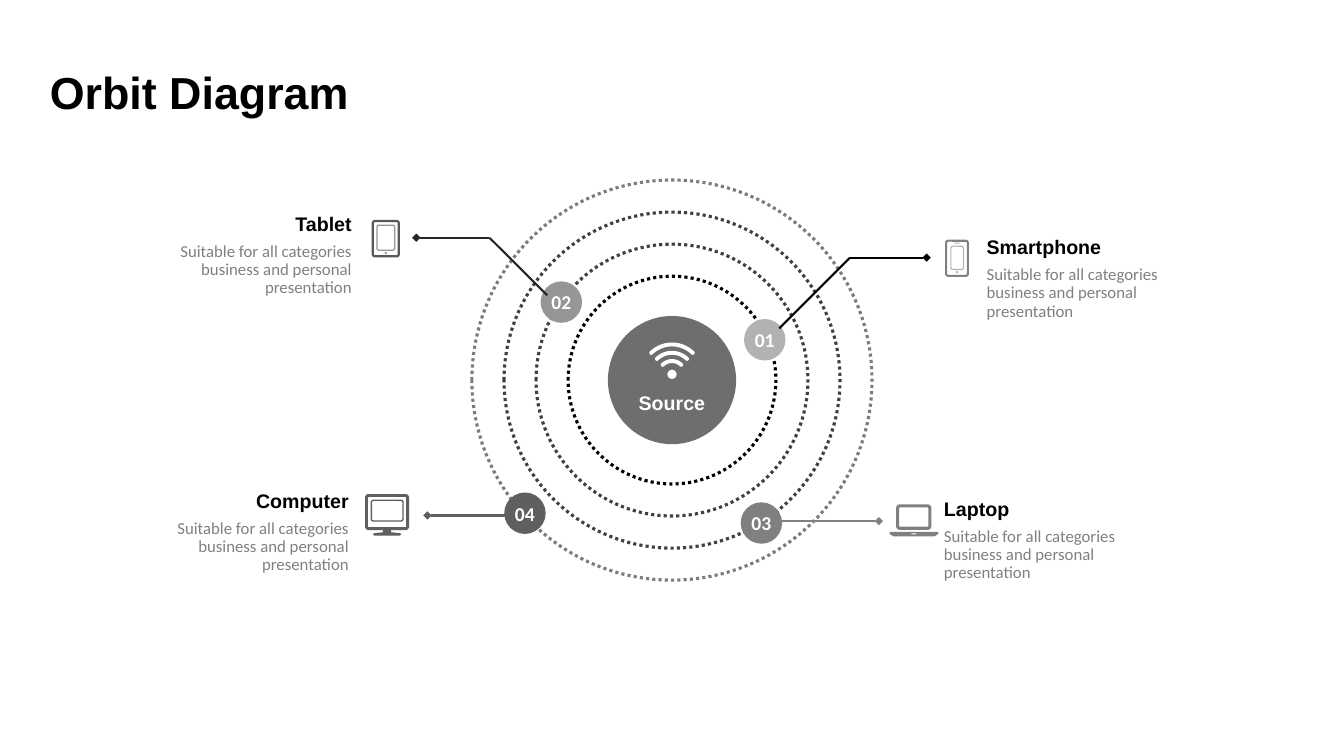
import math
import pptx
import pptx.dml.color
import pptx.enum.dml
import pptx.enum.shapes
import pptx.enum.text
import pptx.oxml
import pptx.oxml.ns
import pptx.util

Pt = pptx.util.Pt
RGBColor = pptx.dml.color.RGBColor
Kind = pptx.enum.shapes.MSO_SHAPE
Align = pptx.enum.text.PP_ALIGN
Anchor = pptx.enum.text.MSO_ANCHOR

BLACK = RGBColor(0x00, 0x00, 0x00)
WHITE = RGBColor(0xFF, 0xFF, 0xFF)
INK = RGBColor(0x26, 0x26, 0x26)
COAL = RGBColor(0x40, 0x40, 0x40)
SLATE = RGBColor(0x59, 0x59, 0x59)
IRON = RGBColor(0x5F, 0x5F, 0x5F)
LEAD = RGBColor(0x6E, 0x6E, 0x6E)
STONE = RGBColor(0x7C, 0x7C, 0x7C)
GRAY = RGBColor(0x80, 0x80, 0x80)
ASH = RGBColor(0x96, 0x96, 0x96)
SILVER = RGBColor(0xB2, 0xB2, 0xB2)

MID_X, MID_Y = 480, 271.5
DETAIL = "Suitable for all categories business and personal presentation"


def write(shape, text, size=14, color=BLACK, font="Arial", bold=True,
          align=Align.LEFT, anchor=Anchor.TOP, wrap=True, pitch=None):
    frame = shape.text_frame
    frame.word_wrap = wrap
    frame.vertical_anchor = anchor
    if not wrap:
        frame.auto_size = pptx.enum.text.MSO_AUTO_SIZE.SHAPE_TO_FIT_TEXT
    line = frame.paragraphs[0]
    line.alignment = align
    line.line_spacing = pitch
    run = line.add_run()
    run.text = text
    run.font.size = Pt(size)
    run.font.name = font
    run.font.bold = bold
    run.font.color.rgb = color


def label(shapes, text, left, top, width, height, **style):
    box = shapes.add_textbox(Pt(left), Pt(top), Pt(width), Pt(height))
    write(box, text, **style)


def paint(shape, fill=None, line=None, weight=1):
    shape.shadow.inherit = False
    if fill is None:
        shape.fill.background()
    else:
        shape.fill.solid()
        shape.fill.fore_color.rgb = fill
    if line is None:
        shape.line.fill.background()
    else:
        shape.line.color.rgb = line
        shape.line.width = Pt(weight)
    return shape


def disc(shapes, x, y, radius, **style):
    shape = shapes.add_shape(Kind.OVAL, Pt(x - radius), Pt(y - radius),
                             Pt(2 * radius), Pt(2 * radius))
    return paint(shape, **style)


def panel(shapes, left, top, width, height, curve, **style):
    shape = shapes.add_shape(Kind.ROUNDED_RECTANGLE, Pt(left), Pt(top),
                             Pt(width), Pt(height))
    shape.adjustments[0] = curve / min(width, height)
    return paint(shape, **style)


def bezel(shapes, left, top, width, height, weight, color):
    half = weight / 2
    panel(shapes, left + half, top + half, width - weight, height - weight,
          1.5, line=color, weight=weight)


def outline(shapes, points, color):
    spots = [(Pt(x), Pt(y)) for x, y in points]
    maker = shapes.build_freeform(*spots[0])
    maker.add_line_segments(spots[1:])
    paint(maker.convert_to_shape(), fill=color)


def lead(shapes, points, color):
    for start, end in zip(points, points[1:]):
        line = shapes.add_connector(pptx.enum.shapes.MSO_CONNECTOR.STRAIGHT,
                                    *[Pt(n) for n in start + end])
        line.line.color.rgb = color
        line.line.width = Pt(1.5)
        props = line._element.spPr
        props.append(pptx.oxml.parse_xml(
            "<a:effectLst %s/>" % pptx.oxml.ns.nsdecls("a")))
    line.line._get_or_add_ln().append(pptx.oxml.parse_xml(
        '<a:tailEnd type="diamond" %s/>' % pptx.oxml.ns.nsdecls("a")))


def turn(x, y, radius, first, last):
    steps = 24
    for step in range(steps + 1):
        angle = math.radians(first + (last - first) * step / steps)
        yield x + radius * math.sin(angle), y - radius * math.cos(angle)


def signal(shapes):
    x, y, half, sweep = MID_X, 267.4, 1.4, 44
    disc(shapes, x, y, 3.3, fill=WHITE)
    for radius in (9.5, 15.4, 21.3):
        left, right = [next(turn(x, y, radius, a, a)) for a in (-sweep, sweep)]
        points = [*turn(x, y, radius + half, -sweep, sweep),
                  *turn(*right, half, sweep, sweep + 180),
                  *turn(x, y, radius - half, sweep, -sweep),
                  *turn(*left, half, 180 - sweep, 360 - sweep)]
        outline(shapes, points, WHITE)


def phone(shapes):
    bezel(shapes, 675.1, 171.2, 17, 26.6, 1.5, GRAY)
    bezel(shapes, 678.8, 175.5, 9.8, 17.4, 0.8, SILVER)
    panel(shapes, 681.9, 173.3, 3.6, 0.8, 0.4, fill=SILVER)
    disc(shapes, 683.7, 194.4, 0.8, fill=SILVER)


def tablet(shapes):
    bezel(shapes, 265.5, 157.1, 20.2, 26.8, 1.6, SLATE)
    bezel(shapes, 268.8, 160.4, 13.6, 18.8, 0.9, ASH)
    disc(shapes, 275.6, 180.8, 0.8, fill=ASH)


def desktop(shapes):
    bezel(shapes, 264.8, 356.9, 23.6, 15.8, 1, IRON)
    bezel(shapes, 260.8, 352.9, 31.4, 25.8, 2.1, IRON)
    edge = [(2.9, 378.6), (2.9, 380.2), (9.4, 380.9), (10, 381.8), (9, 382.6)]
    points = [(276.5 + x, y) for x, y in edge]
    points += [(276.5 - x, y) for x, y in reversed(edge)]
    outline(shapes, points, IRON)


def laptop(shapes):
    bezel(shapes, 640.1, 360.3, 25.2, 18.2, 2.2, GRAY)
    edge = [(17.4, 379.9), (17.4, 381.4), (14.6, 383.2)]
    points = [(652.8 + x, y) for x, y in edge]
    points += [(652.8 - x, y) for x, y in reversed(edge)]
    outline(shapes, points, GRAY)
    panel(shapes, 651, 381, 3.6, 0.8, 0.4, fill=WHITE)


def callout(shapes, name, left, top, width, align):
    span = 160
    start = left + span - width if align == Align.RIGHT else left
    label(shapes, DETAIL, left, top + 22.4, span, 54, size=12, color=GRAY,
          font="Calibri", bold=False, align=align, pitch=0.9)
    label(shapes, name, start, top, width, 24.2, align=align, wrap=False)


def main():
    deck = pptx.Presentation()
    deck.slide_width, deck.slide_height = Pt(960), Pt(540)
    slide = deck.slides.add_slide(deck.slide_layouts[5])
    shapes = slide.shapes

    title = shapes.title
    title.left, title.top = Pt(28.4), Pt(42.4)
    title.width, title.height = Pt(443.4), Pt(46)
    write(title, "Orbit Diagram", size=32)

    disc(shapes, MID_X, MID_Y, 45.8, fill=LEAD)
    for step, color in enumerate((BLACK, COAL, COAL, STONE)):
        orbit = disc(shapes, MID_X, MID_Y, 74.2 + 22.9 * step,
                     line=color, weight=2.25)
        orbit.line.dash_style = pptx.enum.dml.MSO_LINE.ROUND_DOT

    badges = [("01", 546.3, 242.7, SILVER), ("02", 401, 215.8, ASH),
              ("03", 543.9, 373.6, GRAY), ("04", 375, 366.6, IRON)]
    for text, x, y, color in badges:
        badge = disc(shapes, x, y, 14.8, fill=color)
        frame = badge.text_frame
        frame.margin_left = frame.margin_right = 0
        write(badge, text, color=WHITE, font="Calibri", align=Align.CENTER,
              anchor=Anchor.MIDDLE)

    callout(shapes, "Smartphone", 697.7, 164.3, 96.2, Align.LEFT)
    callout(shapes, "Laptop", 667.2, 351.3, 61.5, Align.LEFT)
    callout(shapes, "Tablet", 98.4, 147.6, 54.6, Align.RIGHT)
    callout(shapes, "Computer", 96.3, 345.6, 81.2, Align.RIGHT)

    label(shapes, "Source", 448.7, 275.8, 62.6, 24.2, color=WHITE,
          align=Align.CENTER, wrap=False)
    for draw in (signal, phone, tablet, desktop, laptop):
        draw(shapes.add_group_shape().shapes)

    lead(shapes, [(556.6, 234.6), (607.2, 184), (661.9, 184)], BLACK)
    lead(shapes, [(391, 211), (349.6, 169.8), (297.4, 169.8)], INK)
    lead(shapes, [(361.4, 368.2), (305.3, 368.2)], IRON)
    lead(shapes, [(558.7, 372.2), (627.8, 372.2)], GRAY)

    deck.save("out.pptx")


if __name__ == "__main__":
    main()
